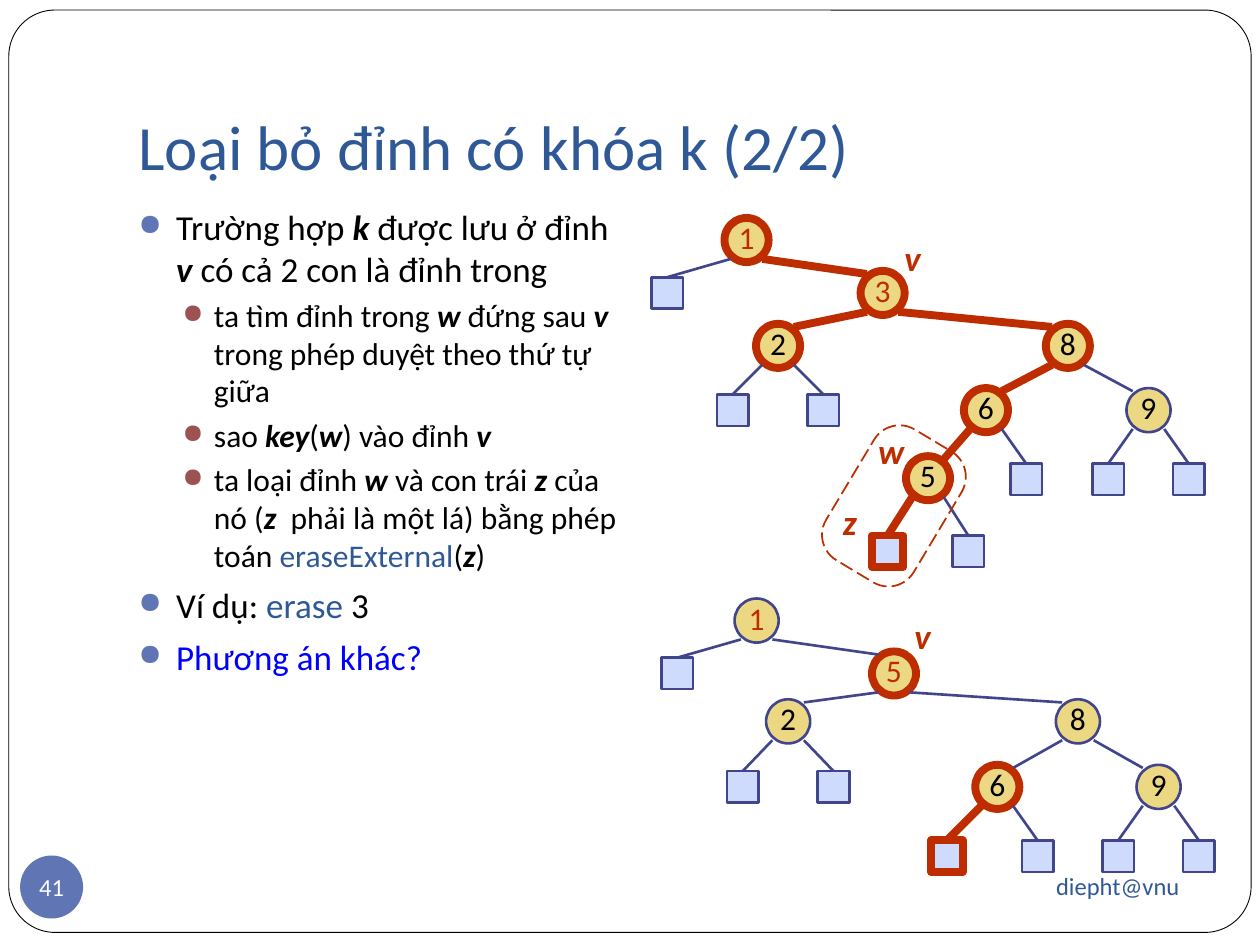
from lxml import etree
from pptx import Presentation
from pptx import util as u
from pptx.dml.color import RGBColor
from pptx.enum import dml, shapes, text
from pptx.oxml.ns import qn

WHITE = RGBColor(0xFF, 0xFF, 0xFF)
BLACK = RGBColor(0, 0, 0)
NAVY = RGBColor(0x2F, 0x58, 0x97)
SLATE = RGBColor(0x60, 0x76, 0xB4)
MAROON = RGBColor(0x9C, 0x52, 0x52)
BLUE = RGBColor(0, 0, 0xFF)
RED = RGBColor(0xBE, 0x2D, 0x00)
INDIGO = RGBColor(0x40, 0x45, 0x8C)
GOLD = RGBColor(0xEC, 0xD8, 0x82)
PALE = RGBColor(0xCF, 0xDB, 0xFD)

NODE, LEAF = 0.35, 0.25          # circle and square sizes, inches
EDGE_DX, EDGE_DY = 0.125, 0.15   # where an edge meets a circle, from its centre

# Bullets: level, then (words, style); "v" is a variable, "f" a function
BULLETS = [
    (0, [("Trường hợp ", ""), ("k", "v"), (" được lưu ở đỉnh ", ""), ("v", "v"),
         (" có cả 2 con là đỉnh trong", "")]),
    (1, [("ta tìm đỉnh trong ", ""), ("w ", "v"), ("đứng sau ", ""), ("v ", "v"),
         ("trong phép duyệt theo thứ tự giữa", "")]),
    (1, [("sao ", ""), ("key", "v"), ("(", ""), ("w", "v"), (") vào đỉnh ", ""),
         ("v", "v")]),
    (1, [("ta loại đỉnh ", ""), ("w ", "v"), ("và con trái ", ""), ("z", "v"),
         (" của nó (", ""), ("z  ", "v"), ("phải là một lá) bằng phép toán ", ""),
         ("eraseExternal", "f"), ("(", ""), ("z", "v"), (")", "")]),
    (0, [("Ví dụ: ", ""), ("erase", "f"), (" 3", "")]),
    (0, [("Phương án khác?", "q")]),
]
STYLE_COLORS = {"f": NAVY, "q": BLUE}
# Per level: size, left edge, hanging indent, space before, bullet colour
LEVELS = [(20, 0.3, 0.3, 5.8, SLATE), (18, 0.6, 0.25, 3.7, MAROON)]

# Trees: (x, y, key or "" for a leaf, parent's index, marked node, marked edge)
TREE_BEFORE = [
    (0.58, 0, "1", None, True, False),
    (1.66, 0.42, "3", 0, True, True),
    (0.83, 0.84, "2", 1, True, True),
    (3.13, 0.84, "8", 1, True, True),
    (2.48, 1.35, "6", 3, True, True),
    (3.77, 1.35, "9", 3, False, False),
    (2.02, 1.89, "5", 4, True, True),
    (0, 0.47, "", 0, False, False),
    (0.52, 1.4, "", 2, False, False),
    (1.24, 1.4, "", 2, False, False),
    (2.85, 1.95, "", 4, False, False),
    (3.5, 1.95, "", 5, False, False),
    (4.14, 1.95, "", 5, False, False),
    (1.75, 2.52, "", 6, True, True),
    (2.39, 2.52, "", 6, False, False),
]
TREE_AFTER = [
    (0.58, 0, "1", None, False, False),
    (1.67, 0.42, "5", 0, True, False),
    (0.83, 0.8, "2", 1, False, False),
    (3.13, 0.8, "8", 1, False, False),
    (2.49, 1.32, "6", 3, True, False),
    (3.77, 1.32, "9", 3, False, False),
    (0, 0.47, "", 0, False, False),
    (0.52, 1.37, "", 2, False, False),
    (1.24, 1.37, "", 2, False, False),
    (2.14, 1.92, "", 4, True, True),
    (2.86, 1.92, "", 4, False, False),
    (3.5, 1.92, "", 5, False, False),
    (4.14, 1.92, "", 5, False, False),
]
RED_KEYS = 2  # the first two nodes carry red keys


def style_line(line, marked):
    line.color.rgb = RED if marked else INDIGO
    line.width = u.Pt(4.5 if marked else 1.5)


def add_outline(slide, kind, box, fill=None):
    shape = slide.shapes.add_shape(kind, *map(u.Inches, box))
    shape.shadow.inherit = False
    if fill is None:
        shape.fill.background()
    else:
        shape.fill.solid()
        shape.fill.fore_color.rgb = fill
    return shape


def set_words(shape, words, size, color, align=text.PP_ALIGN.LEFT,
              anchor=text.MSO_ANCHOR.TOP, insets=(0.1, 0.05, 0.1, 0.05), wrap=True):
    frame = shape.text_frame
    frame.word_wrap = wrap
    frame.vertical_anchor = anchor
    (frame.margin_left, frame.margin_top,
     frame.margin_right, frame.margin_bottom) = map(u.Inches, insets)
    frame.text = words
    paragraph = frame.paragraphs[0]
    paragraph.alignment = align
    font = paragraph.runs[0].font
    font.name, font.size, font.color.rgb = "Calibri", u.Pt(size), color
    return font


def add_frame(slide, box):
    border = add_outline(slide, shapes.MSO_SHAPE.ROUNDED_RECTANGLE, box, WHITE)
    border.adjustments[0] = 0.05
    border.line.color.rgb = BLACK
    border.line.width = u.Pt(0.5)


def add_title(slide, box):
    title = slide.shapes.add_textbox(*map(u.Inches, box))
    set_words(title, "Loại bỏ đỉnh có khóa k (2/2)", 36, NAVY,
              anchor=text.MSO_ANCHOR.BOTTOM, insets=(0.1, 0.05, 0.1, 0.1))


def add_footer(slide, author_box, number_box):
    author = slide.shapes.add_textbox(*map(u.Inches, author_box))
    set_words(author, "diepht@vnu", 14, NAVY, text.PP_ALIGN.RIGHT,
              text.MSO_ANCHOR.MIDDLE)
    number = add_outline(slide, shapes.MSO_SHAPE.OVAL, number_box, SLATE)
    number.line.fill.background()
    set_words(number, "41", 14, WHITE, text.PP_ALIGN.CENTER,
              text.MSO_ANCHOR.MIDDLE, (0, 0, 0, 0), wrap=False)


def add_bullets(slide, box):
    frame = slide.shapes.add_textbox(*map(u.Inches, box)).text_frame
    frame.word_wrap = True
    for index, (level, parts) in enumerate(BULLETS):
        size, left, hanging, before, bullet_color = LEVELS[level]
        paragraph = frame.add_paragraph() if index else frame.paragraphs[0]
        paragraph.level = level
        if index:
            paragraph.space_before = u.Pt(before)
        props = paragraph._p.get_or_add_pPr()
        props.set("marL", str(u.Inches(left)))
        props.set("indent", str(-u.Inches(hanging)))
        color = etree.SubElement(props, qn("a:buClr"))
        etree.SubElement(color, qn("a:srgbClr"), val=str(bullet_color))
        etree.SubElement(props, qn("a:buSzPct"), val="85000")
        etree.SubElement(props, qn("a:buChar"), char="●")
        for words, style in parts:
            run = paragraph.add_run()
            run.text = words
            run.font.name, run.font.size = "Calibri", u.Pt(size)
            run.font.color.rgb = STYLE_COLORS.get(style, BLACK)
            run.font.bold = run.font.italic = style == "v"


def add_edge(slide, parent, child, child_is_leaf, marked):
    """Join the lower corner of a parent to the child below it."""
    dx, dy = u.Inches(EDGE_DX), u.Inches(EDGE_DY)
    (px, py), (cx, cy) = [(s.left + s.width // 2, s.top + s.height // 2)
                          for s in (parent, child)]
    side = dx if cx > px else -dx
    edge = slide.shapes.add_connector(shapes.MSO_CONNECTOR.STRAIGHT,
                                      px + side, py + dy, cx - side, cy - dy)
    if child_is_leaf:
        edge.end_connect(child, 0)
    style_line(edge.line, marked)
    etree.SubElement(edge._element.spPr, qn("a:effectLst"))


def add_tree(slide, left, top, tree, labels):
    nodes = []
    for index, (x, y, key, parent, marked, marked_edge) in enumerate(tree):
        kind, size, fill = ((shapes.MSO_SHAPE.OVAL, NODE, GOLD) if key else
                            (shapes.MSO_SHAPE.RECTANGLE, LEAF, PALE))
        node = add_outline(slide, kind, (left + x, top + y, size, size), fill)
        style_line(node.line, marked)
        if key:
            set_words(node, key, 18, RED if index < RED_KEYS else BLACK,
                      text.PP_ALIGN.CENTER, text.MSO_ANCHOR.MIDDLE,
                      (0, 0, 0, 0.05), wrap=False)
        nodes.append(node)
        if parent is not None:
            add_edge(slide, nodes[parent], node, not key, marked_edge)
    for name, x, y, width in labels:
        label = slide.shapes.add_textbox(
            *map(u.Inches, (left + x, top + y, width, 0.44)))
        font = set_words(label, name, 20, RED, wrap=False)
        font.bold = font.italic = True


def add_removed_pair(slide, box):
    ring = add_outline(slide, shapes.MSO_SHAPE.ROUNDED_RECTANGLE, box)
    ring.adjustments[0] = 0.29
    ring.rotation = 300.9
    ring.line.color.rgb = RED
    ring.line.width = u.Pt(1)
    ring.line.dash_style = dml.MSO_LINE.LONG_DASH


def main():
    deck = Presentation()
    deck.slide_width, deck.slide_height = u.Inches(10), u.Inches(7.5)
    slide = deck.slides.add_slide(deck.slide_layouts[6])
    add_frame(slide, (0.07, 0.08, 9.86, 7.32))
    add_title(slide, (1, 0.3, 8.5, 1.25))
    add_footer(slide, (6.75, 6.77, 2.71, 0.52), (0.16, 6.79, 0.5, 0.5))
    add_bullets(slide, (1, 1.58, 4.1, 5))
    add_tree(slide, 5.25, 4.75, TREE_AFTER, [("v", 1.91, 0.08, 0.34)])
    add_tree(slide, 5.17, 1.73, TREE_BEFORE,
             [("v", 1.91, 0.1, 0.34), ("w", 1.7, 1.63, 0.42), ("z", 1.42, 2.19, 0.32)])
    add_removed_pair(slide, (6.49, 3.61, 1.21, 0.81))
    deck.save("out.pptx")


if __name__ == "__main__":
    main()
